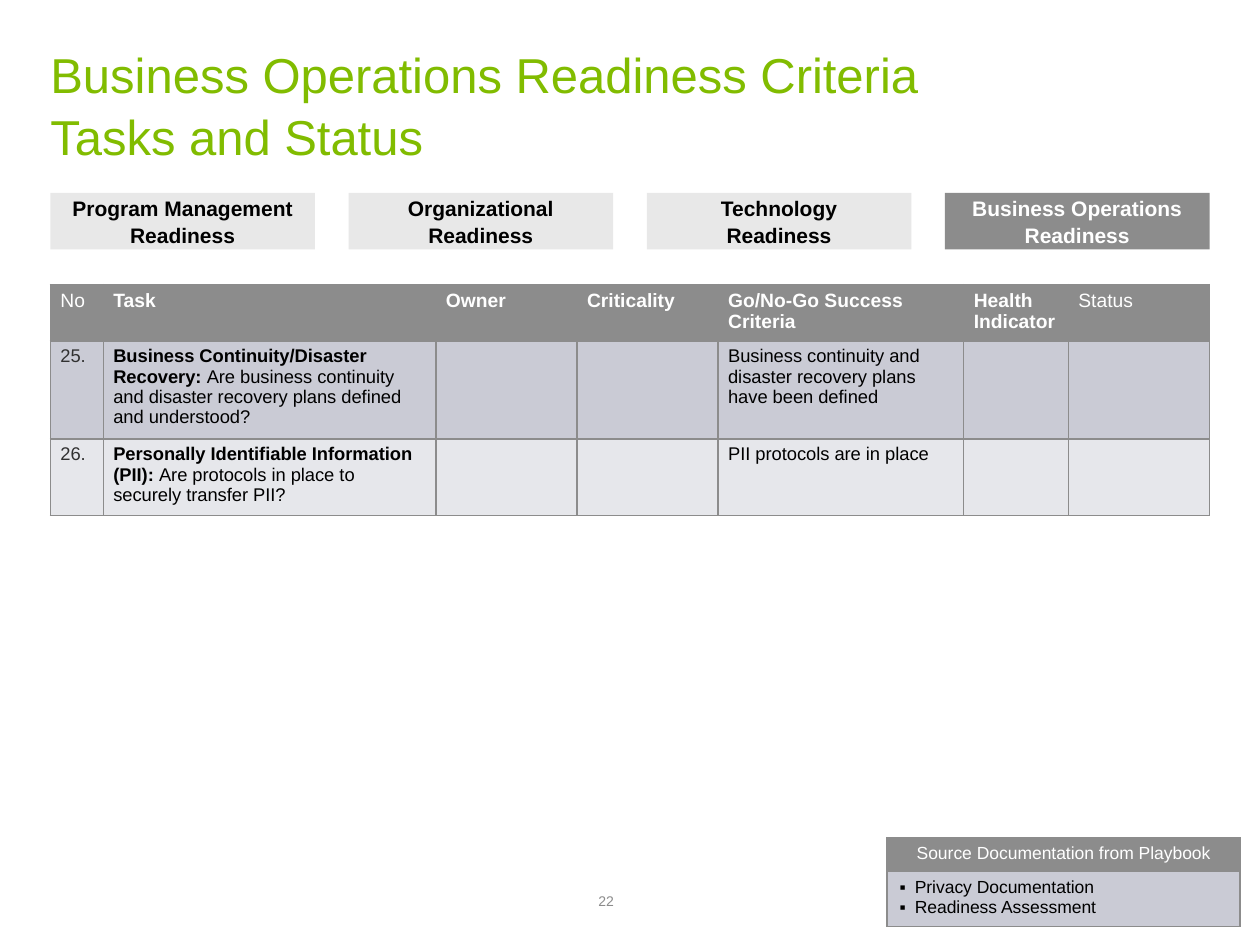
"""Build the Business Operations Readiness slide."""
from dataclasses import dataclass

from lxml.etree import SubElement
from pptx import Presentation
from pptx.dml.color import RGBColor
from pptx.enum.shapes import MSO_SHAPE as Preset
from pptx.enum.text import MSO_ANCHOR as Anchor, MSO_AUTO_SIZE as AutoSize, PP_ALIGN as Align
from pptx.oxml.ns import qn
from pptx.util import Inches, Pt


@dataclass(frozen=True)
class Theme:
    """Colours, type sizes and font of the slide."""
    font: str = "Arial"
    green: str = "81BC00"
    grey: str = "8C8C8C"
    pale: str = "E8E8E8"
    band_dark: str = "CACBD5"
    band_light: str = "E6E7EB"
    charcoal: str = "313131"
    black: str = "000000"
    white: str = "FFFFFF"
    title_size: float = 28
    tab_size: float = 12
    header_size: float = 11
    task_size: float = 10.5
    source_size: float = 10
    number_size: float = 8


THEME = Theme()


@dataclass(frozen=True)
class Span:
    """A stretch of text in one style."""
    text: str
    size: float
    color: str = THEME.black
    bold: bool = False


@dataclass(frozen=True)
class Tab:
    """A readiness area in the navigation row."""
    lines: tuple[str, ...]
    active: bool = False


@dataclass(frozen=True)
class Task:
    """A readiness task with its success criterion."""
    number: str
    topic: str
    question: str
    criterion: str
    fill: str
    height: float


TABS = (
    Tab(("Program Management Readiness",)),
    Tab(("Organizational Readiness",)),
    Tab(("Technology", "Readiness")),
    Tab(("Business Operations Readiness",), active=True),
)
HEADERS = ("No", "Task", "Owner", "Criticality", "Go/No-Go Success Criteria",
           "Health Indicator", "Status")
PLAIN_HEADERS = ("No", "Status")
COLUMN_WIDTHS = (0.42, 2.64, 1.12, 1.12, 1.95, 0.83, 1.12)
TASKS = (
    Task("25.", "Business Continuity/Disaster Recovery: ",
         "Are business continuity and disaster recovery plans defined and understood?",
         "Business continuity and disaster recovery plans have been defined",
         THEME.band_dark, 0.72),
    Task("26.", "Personally Identifiable Information (PII): ",
         "Are protocols in place to securely transfer PII?",
         "PII protocols are in place", THEME.band_light, 0.56),
)
SOURCES = ("Privacy Documentation", "Readiness Assessment")
LEFT, CONTENT_WIDTH = 0.4, 9.2
TAB_TOP, TAB_WIDTH, TAB_HEIGHT = 1.53, 2.1, 0.45


def rgb(color: str) -> RGBColor:
    """Convert a hex string to a colour."""
    return RGBColor.from_string(color)


def add_span(paragraph, span: Span) -> None:
    """Append one formatted run."""
    run = paragraph.add_run()
    run.text = span.text
    run.font.name = THEME.font
    run.font.size = Pt(span.size)
    run.font.bold = span.bold
    run.font.color.rgb = rgb(span.color)


def set_insets(frame, horizontal: float, vertical: float) -> None:
    """Set the inner margins of a text frame or table cell."""
    frame.margin_left = frame.margin_right = Inches(horizontal)
    frame.margin_top = frame.margin_bottom = Inches(vertical)


def add_bullet(paragraph) -> None:
    """Give a paragraph a hanging square bullet."""
    properties = paragraph._p.get_or_add_pPr()
    properties.set("marL", str(Inches(0.12)))
    properties.set("indent", str(-Inches(0.12)))
    bullet_color = SubElement(properties, qn("a:buClr"))
    SubElement(bullet_color, qn("a:srgbClr"), val=THEME.black)
    SubElement(properties, qn("a:buFont"), typeface=THEME.font)
    SubElement(properties, qn("a:buChar"), char="▪")


def style_cell(cell, fill: str, horizontal: float, vertical: float) -> None:
    """Apply borders, fill and margins to a cell."""
    set_insets(cell, horizontal, vertical)
    properties = cell._tc.get_or_add_tcPr()
    for edge in ("a:lnL", "a:lnR", "a:lnT", "a:lnB"):
        border = SubElement(properties, qn(edge), w=str(Pt(1)))
        solid = SubElement(border, qn("a:solidFill"))
        SubElement(solid, qn("a:srgbClr"), val=THEME.grey)
    cell.fill.solid()
    cell.fill.fore_color.rgb = rgb(fill)


def add_grid(slide, left: float, top: float, widths: tuple[float, ...],
             heights: tuple[float, ...], fills: tuple[str, ...],
             insets: tuple[float, float]):
    """Add a bordered table with one fill per row."""
    table = slide.shapes.add_table(
        len(heights), len(widths), Inches(left), Inches(top),
        Inches(sum(widths)), Inches(sum(heights))).table
    for column, width in zip(table.columns, widths):
        column.width = Inches(width)
    for row, height, fill in zip(table.rows, heights, fills):
        row.height = Inches(height)
        for cell in row.cells:
            style_cell(cell, fill, *insets)
    return table


def add_title(slide) -> None:
    """Fill the title placeholder."""
    title = slide.shapes.title
    title.left, title.top = Inches(LEFT), Inches(0.33)
    title.width, title.height = Inches(CONTENT_WIDTH), Inches(0.72)
    frame = title.text_frame
    frame.auto_size = AutoSize.NONE
    frame.vertical_anchor = Anchor.TOP
    set_insets(frame, 0, 0)
    heading = frame.paragraphs[0]
    heading.alignment = Align.LEFT
    heading.line_spacing = 1.05
    add_span(heading, Span("Business Operations Readiness Criteria ", THEME.title_size, THEME.green))
    heading.add_line_break()
    add_span(heading, Span("Tasks and Status", THEME.title_size, THEME.green))


def add_tab(slide, tab: Tab, left: float) -> None:
    """Draw one readiness area."""
    box = slide.shapes.add_shape(Preset.RECTANGLE, Inches(left), Inches(TAB_TOP),
                                 Inches(TAB_WIDTH), Inches(TAB_HEIGHT))
    box.shadow.inherit = False
    box.fill.solid()
    box.fill.fore_color.rgb = rgb(THEME.grey if tab.active else THEME.pale)
    box.line.fill.background()
    frame = box.text_frame
    frame.word_wrap = True
    frame.vertical_anchor = Anchor.MIDDLE
    set_insets(frame, 0.1, 0.1)
    color = THEME.white if tab.active else THEME.black
    for index, line in enumerate(tab.lines):
        paragraph = frame.add_paragraph() if index else frame.paragraphs[0]
        paragraph.alignment = Align.CENTER
        paragraph.line_spacing = 1.06
        add_span(paragraph, Span(line, THEME.tab_size, color, bold=True))


def add_task_table(slide) -> None:
    """Draw the table of tasks and status."""
    table = add_grid(slide, LEFT, 2.26, COLUMN_WIDTHS,
                     (0.42, *(task.height for task in TASKS)),
                     (THEME.grey, *(task.fill for task in TASKS)), (0.08, 0.04))
    for column, header in enumerate(HEADERS):
        add_span(table.cell(0, column).text_frame.paragraphs[0],
                 Span(header, THEME.header_size, THEME.white, header not in PLAIN_HEADERS))
    size = THEME.task_size
    for row, task in enumerate(TASKS, start=1):
        contents = {
            "No": (Span(task.number, size, THEME.charcoal),),
            "Task": (Span(task.topic, size, bold=True), Span(task.question, size)),
            "Go/No-Go Success Criteria": (Span(task.criterion, size),),
        }
        for header, spans in contents.items():
            paragraph = table.cell(row, HEADERS.index(header)).text_frame.paragraphs[0]
            for span in spans:
                add_span(paragraph, span)


def add_source_table(slide) -> None:
    """Draw the list of source documents."""
    table = add_grid(slide, 7.04, 6.65, (2.8,), (0.26, 0.41),
                     (THEME.grey, THEME.band_dark), (0.1, 0.05))
    heading = table.cell(0, 0).text_frame.paragraphs[0]
    heading.alignment = Align.CENTER
    add_span(heading, Span("Source Documentation from Playbook", THEME.source_size, THEME.white))
    frame = table.cell(1, 0).text_frame
    for index, source in enumerate(SOURCES):
        paragraph = frame.add_paragraph() if index else frame.paragraphs[0]
        add_bullet(paragraph)
        add_span(paragraph, Span(source, THEME.source_size))


def add_page_number(slide) -> None:
    """Write the page number at the foot."""
    frame = slide.shapes.add_textbox(Inches(4.75), Inches(7.09), Inches(0.5), Inches(0.13)).text_frame
    frame.word_wrap = True
    frame.vertical_anchor = Anchor.BOTTOM
    set_insets(frame, 0, 0)
    add_span(frame.paragraphs[0], Span("22", THEME.number_size, THEME.grey))


def main() -> None:
    """Build and save the slide."""
    deck = Presentation()
    deck.slide_width, deck.slide_height = Inches(10), Inches(7.5)
    slide = deck.slides.add_slide(deck.slide_layouts.get_by_name("Title Only"))
    add_page_number(slide)
    add_title(slide)
    add_task_table(slide)
    pitch = (CONTENT_WIDTH - TAB_WIDTH) / (len(TABS) - 1)
    for index, tab in enumerate(TABS):
        add_tab(slide, tab, LEFT + index * pitch)
    add_source_table(slide)
    deck.save("out.pptx")


if __name__ == "__main__":
    main()
